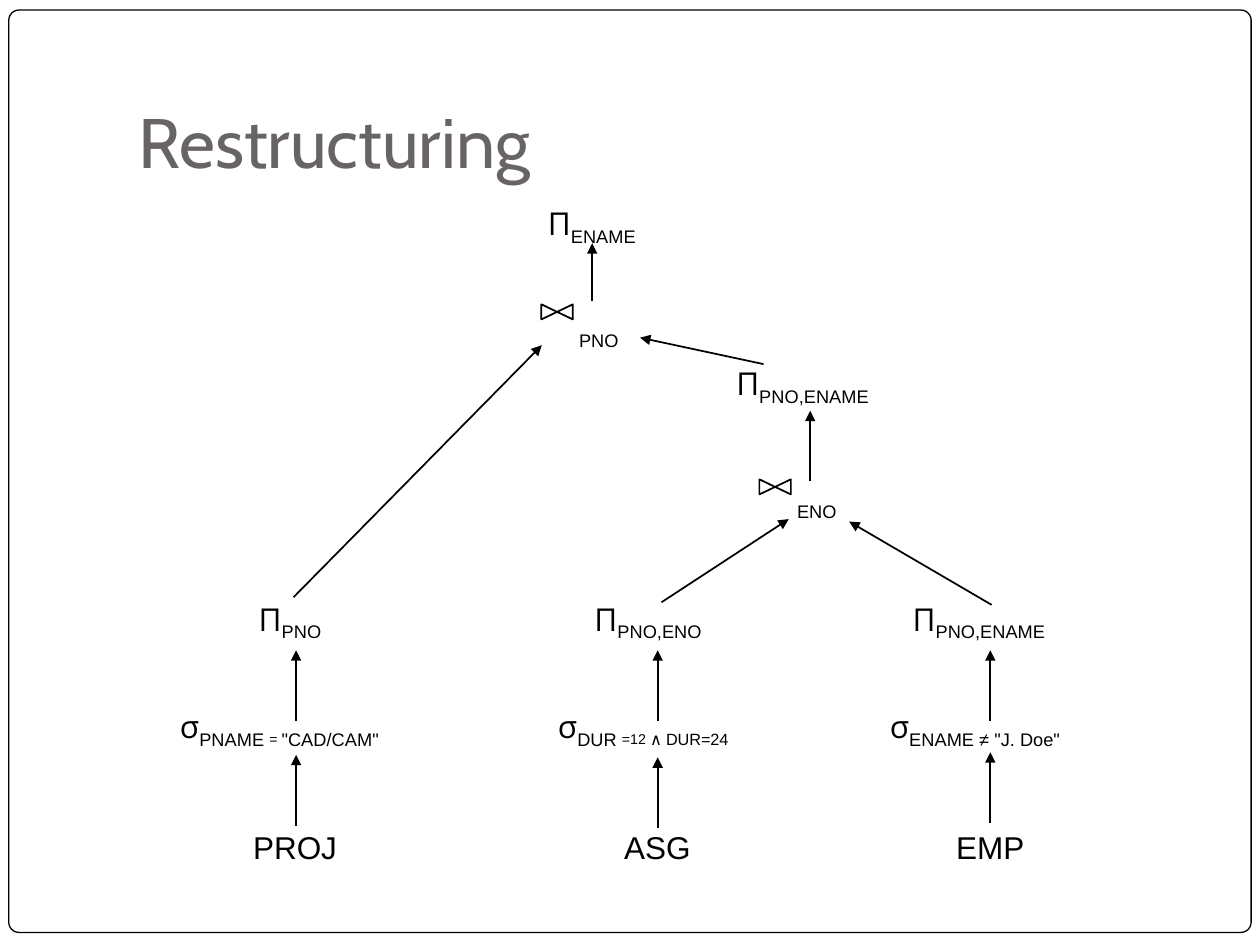
from lxml.etree import SubElement
from pptx import Presentation
from pptx.dml.color import RGBColor
from pptx.enum.shapes import MSO_CONNECTOR as Connector, MSO_SHAPE as Shape
from pptx.enum.text import (
    MSO_ANCHOR as Anchor, MSO_AUTO_SIZE as AutoSize, PP_ALIGN as Align)
from pptx.oxml.ns import qn
from pptx.util import Inches, Pt

BLACK = RGBColor(0x00, 0x00, 0x00)
WHITE = RGBColor(0xFF, 0xFF, 0xFF)
GREY = RGBColor(0x69, 0x64, 0x64)
BODY_FONT, SYMBOL_FONT, TITLE_FONT = "Arial", "Open Sans", "Cabin"
LABEL_HEIGHT = 0.4


def place(shape, left, top, width, height):
    shape.left, shape.top = Inches(left), Inches(top)
    shape.width, shape.height = Inches(width), Inches(height)


def add_label(page, center, top, width, symbol="", subscripts=(), name="",
              height=LABEL_HEIGHT):
    """A symbol or name at full size, then subscript (text, size, font) parts."""
    box = page.shapes.add_textbox(0, 0, 0, 0)
    place(box, center - width / 2, top, width, height)
    box.text_frame.word_wrap = False
    box.text_frame.auto_size = AutoSize.SHAPE_TO_FIT_TEXT
    para = box.text_frame.paragraphs[0]
    para.font.size, para.font.name = Pt(18), BODY_FONT
    para.font.color.rgb = BLACK
    if symbol:
        span = para.add_run()
        span.text, span.font.name = symbol, SYMBOL_FONT
    if name:
        para.add_run().text = name
    for text, size, font in subscripts:
        span = para.add_run()
        span.text = text
        span.font.size, span.font.name = Pt(size), font
        span.font._element.set("baseline", "-25000")


def sub(text, size=18, font=BODY_FONT):
    return text, size, font


def add_arrow(page, start, end):
    arrow = page.shapes.add_connector(
        Connector.STRAIGHT, *(Inches(value) for value in (*start, *end)))
    arrow.line.color.rgb, arrow.line.width = BLACK, Pt(1)
    SubElement(arrow.line._get_or_add_ln(), qn("a:tailEnd"), type="triangle")
    SubElement(arrow._element.spPr, qn("a:effectLst"))


def add_frame(page, box):
    frame = page.shapes.add_shape(Shape.ROUNDED_RECTANGLE, 0, 0, 0, 0)
    place(frame, *box)
    frame.adjustments[0] = 0.011
    frame.shadow.inherit = False
    frame.fill.solid()
    frame.fill.fore_color.rgb = WHITE
    frame.line.color.rgb, frame.line.width = BLACK, Pt(0.75)
    page.shapes._spTree.insert(2, frame._element)  # behind the title


def add_title(page, box, text):
    title = page.shapes.title
    place(title, *box)
    words = title.text_frame
    words.text = text
    words.vertical_anchor, words.margin_bottom = Anchor.BOTTOM, Inches(0.1)
    para = words.paragraphs[0]
    para.alignment = Align.LEFT
    para.font.size, para.font.name = Pt(40), TITLE_FONT
    para.font.color.rgb = GREY


def add_branch(page, box, relation, selection, projection, arrow_shift):
    """Relation at the foot, selection above it, projection on top."""
    left, top, width, height = box
    center = left + width / 2
    name, name_width = relation
    subscripts, selection_width = selection
    columns, columns_width = projection

    def row(share):
        return top + share * height

    add_label(page, center, row(0.82), name_width, name=name)
    add_label(page, center - 0.03, row(0.385), selection_width, "σ", subscripts)
    add_label(page, center - 0.02, row(0), columns_width, "Π", [sub(columns)])
    for tail, head, shift in ((0.83, 0.575, arrow_shift), (0.457, 0.204, 0)):
        add_arrow(page, (center, row(tail) + shift), (center, row(head) + shift))


def add_join(page, box, key, sign_row):
    """A bow-tie join sign with its key as subscript."""
    left, top, width, height = box
    key_width = 0.74 * width
    add_label(page, left + width - key_width / 2, top, key_width,
              subscripts=[sub(key)], height=height)
    sign = page.shapes.add_shape(Shape.FLOWCHART_COLLATE, 0, 0, 0, 0)
    sign_width, sign_height = 0.12, 0.25
    place(sign, left + 0.16 * width - sign_width / 2,
          top + sign_row * height - sign_height / 2, sign_width, sign_height)
    sign.rotation = 270
    sign.shadow.inherit = False
    sign.fill.background()
    sign.line.color.rgb, sign.line.width = BLACK, Pt(1)


def add_upper_tree(page):
    # Projections above the joins
    add_label(page, 4.74, 1.57, 0.98, "Π", [sub("ENAME")])
    add_label(page, 6.44, 2.84, 1.39, "Π", [sub("PNO,ENAME")])
    # Joins
    add_join(page, (4.3, 2.4, 0.76, 0.3), "PNO", 0.25)
    add_join(page, (6.03, 3.75, 0.76, 0.3), "ENO", 0.38)
    # Links from child to parent
    for start, end in (
        ((4.7, 2.39), (4.7, 1.93)),
        ((2.33, 4.74), (4.3, 2.74)),
        ((6.06, 2.89), (5.08, 2.68)),
        ((6.43, 3.82), (6.43, 3.26)),
        ((5.25, 4.78), (6.26, 4.12)),
        ((7.87, 4.8), (6.74, 4.14)),
    ):
        add_arrow(page, start, end)


def main():
    deck = Presentation()
    deck.slide_width, deck.slide_height = Inches(10), Inches(7.5)
    page = deck.slides.add_slide(deck.slide_layouts[5])  # title only
    add_frame(page, (0.07, 0.08, 9.86, 7.32))
    add_title(page, (1, 0.3, 8.5, 1.25), "Restructuring")
    add_upper_tree(page)

    # Branches: centre, relation, selection, projection, arrow shift
    branches = (
        (2.35, ("PROJ", 0.88),
         ([sub("PNAME "), sub("= ", 14), sub('"CAD/CAM"')], 1.98),
         ("PNO", 0.75), 0.01),
        (5.22, ("ASG", 0.73),
         ([sub("DUR "), sub("=12 ", 14), sub("∧ ", 16, SYMBOL_FONT),
           sub("DUR=24", 16)], 1.72),
         ("PNO,ENO", 1.16), 0.03),
        (7.86, ("EMP", 0.74),
         ([sub('ENAME ≠ "J. Doe"')], 1.73),
         ("PNO,ENAME", 1.39), -0.01),
    )
    width = 2
    for center, *parts in branches:
        add_branch(page, (center - width / 2, 4.71, width, 2.21), *parts)
    deck.save("out.pptx")


if __name__ == "__main__":
    main()
